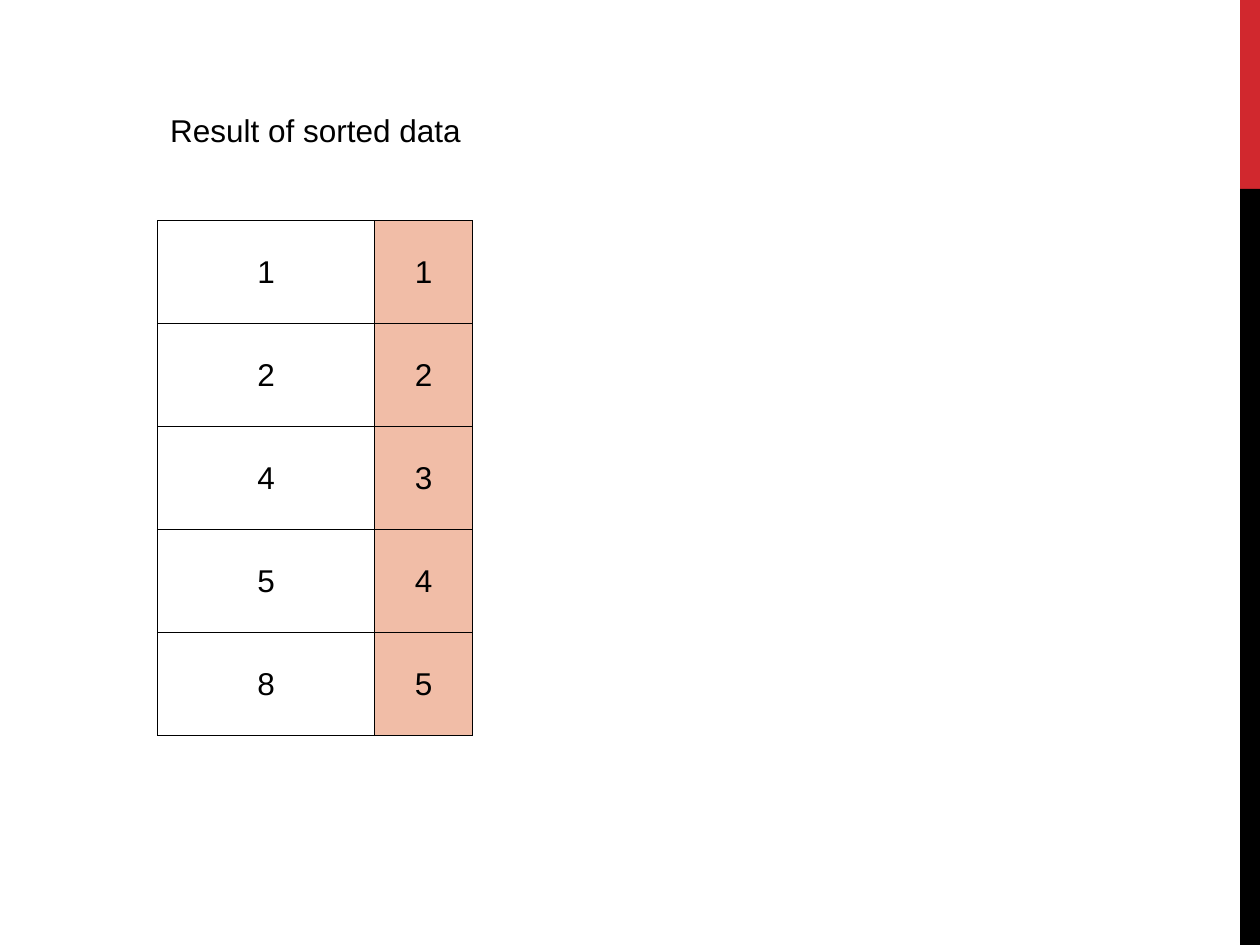
from lxml import etree
from pptx import Presentation
from pptx import util as u
from pptx.dml.color import RGBColor
from pptx.enum import shapes, text
from pptx.oxml.ns import qn

SLIDE_WIDTH, SLIDE_HEIGHT = 25.4, 19.05
BLACK, RED, PEACH = "000000", "D1282E", "F1BDA7"
SORTED_ROWS = [(1, 1), (2, 2), (4, 3), (5, 4), (8, 5)]


def paint(color_format, color):
    color_format.rgb = RGBColor.from_string(color)


def style_paragraph(paragraph, alignment):
    paragraph.alignment = alignment
    paragraph.font.name = "Arial"
    paragraph.font.size = u.Pt(18)
    paint(paragraph.font.color, BLACK)


def add_side_bar(slide, left, top, width, height):
    """Red fifth above a black remainder."""
    red_height = height * 0.2
    parts = [(top, red_height, RED), (top + red_height, height - red_height, BLACK)]
    for part_top, part_height, color in parts:
        shape = slide.shapes.add_shape(
            shapes.MSO_SHAPE.RECTANGLE,
            u.Cm(left), u.Cm(part_top), u.Cm(width), u.Cm(part_height))
        shape.shadow.inherit = False
        shape.fill.solid()
        paint(shape.fill.fore_color, color)
        shape.line.fill.background()


def add_heading(slide, left, top, width, height):
    box = slide.shapes.add_textbox(u.Cm(left), u.Cm(top), u.Cm(width), u.Cm(height))
    frame = box.text_frame
    frame.word_wrap = True
    frame.auto_size = text.MSO_AUTO_SIZE.SHAPE_TO_FIT_TEXT
    frame.text = "Result of sorted data"
    style_paragraph(frame.paragraphs[0], text.PP_ALIGN.LEFT)


def add_cell_borders(cell):
    properties = cell._tc.get_or_add_tcPr()
    for side in ("a:lnL", "a:lnR", "a:lnT", "a:lnB"):
        line = etree.SubElement(properties, qn(side), w=str(u.Pt(0.45)))
        fill = etree.SubElement(line, qn("a:solidFill"))
        etree.SubElement(fill, qn("a:srgbClr"), val=BLACK)


def add_sorted_table(slide, left, top, width, height):
    """Sorted values beside their highlighted positions."""
    frame = slide.shapes.add_table(
        len(SORTED_ROWS), 2, u.Cm(left), u.Cm(top), u.Cm(width), u.Cm(height))
    table = frame.table
    table.first_row = table.horz_banding = False
    position_width = 1.98
    table.columns[0].width = u.Cm(width - position_width)
    table.columns[1].width = u.Cm(position_width)

    for row_index, values in enumerate(SORTED_ROWS):
        table.rows[row_index].height = u.Cm(height / len(SORTED_ROWS))
        for column_index, value in enumerate(values):
            cell = table.cell(row_index, column_index)
            cell.text = str(value)
            cell.vertical_anchor = text.MSO_ANCHOR.MIDDLE
            style_paragraph(cell.text_frame.paragraphs[0], text.PP_ALIGN.CENTER)
            # Borders come before the fill in the cell properties
            add_cell_borders(cell)
            if column_index == 1:
                cell.fill.solid()
                paint(cell.fill.fore_color, PEACH)
            else:
                cell.fill.background()


def main():
    presentation = Presentation()
    presentation.slide_width = u.Cm(SLIDE_WIDTH)
    presentation.slide_height = u.Cm(SLIDE_HEIGHT)
    slide = presentation.slides.add_slide(presentation.slide_layouts[6])

    bar_width, content_left = 0.4, 3.18
    add_side_bar(slide, SLIDE_WIDTH - bar_width, 0, bar_width, SLIDE_HEIGHT)
    add_sorted_table(slide, content_left, 4.45, 6.35, 10.38)
    add_heading(slide, content_left, 2.12, 7.83, 1.03)

    presentation.save("out.pptx")


if __name__ == "__main__":
    main()
